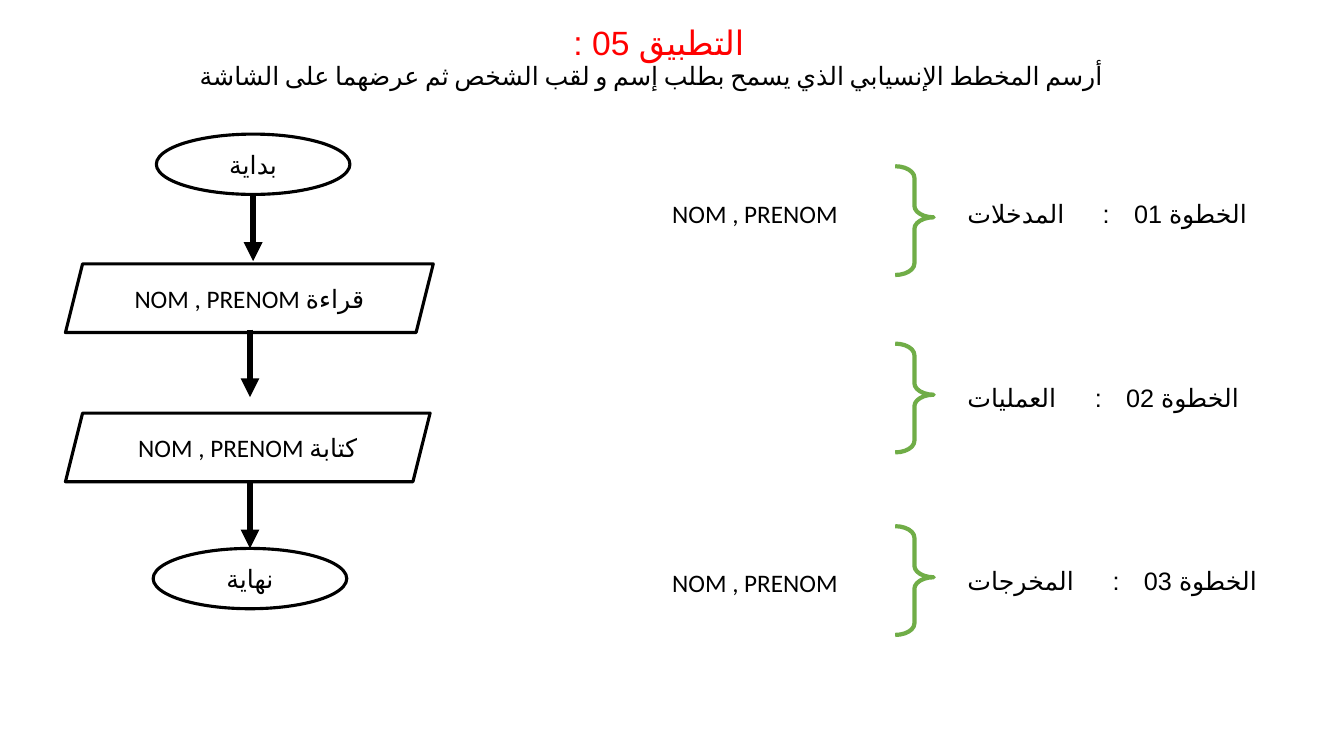
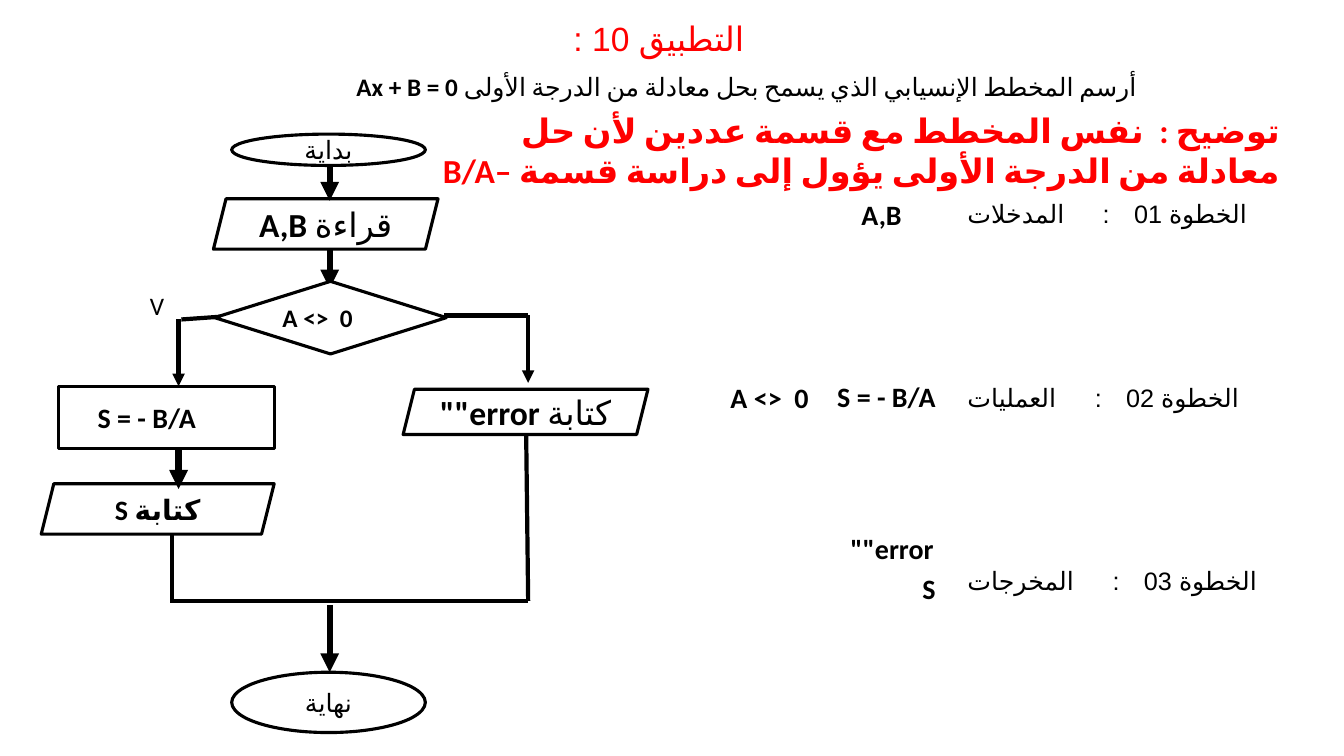
from lxml import etree
from pptx import Presentation
from pptx.dml.color import RGBColor
from pptx.enum.shapes import MSO_CONNECTOR, MSO_SHAPE as SHAPE
from pptx.enum.text import MSO_ANCHOR as ANCHOR, PP_ALIGN as ALIGN
from pptx.oxml.ns import qn
from pptx.util import Cm, Pt

BLACK = RGBColor(0, 0, 0)
WHITE = RGBColor(255, 255, 255)
RED = RGBColor(255, 0, 0)
GREEN = RGBColor(0x70, 0xAD, 0x47)

LATIN, ARABIC = "Calibri", "Arial"
OVAL_W, OVAL_H = 4.88, 1.52
STEP_PITCH = 4.62
HEAD_LEFT, HEAD_W = 3.94, 25.17

# Section name, shift of its colon and number, rise of its brace
STEPS = [("المدخلات", 0, 0.69), ("العمليات", -0.2, 0.84),
         ("المخرجات", 0.25, 0.86)]


# Text
def write(tf, runs, size=18, color=BLACK, font=LATIN, bold=False,
          align=ALIGN.LEFT, rtl=False):
    """Fill a one-paragraph frame; runs is a string or (text, bold) pairs."""
    tf.word_wrap = True
    p = tf.paragraphs[0]
    p.alignment = align
    p._p.get_or_add_pPr().set("rtl", "1" if rtl else "0")
    if isinstance(runs, str):
        runs = [(runs, bold)]
    for text, is_bold in runs:
        r = p.add_run()
        r.text = text
        r.font.size, r.font.bold, r.font.name = Pt(size), is_bold, font
        r.font.color.rgb = color
        rPr = r._r.get_or_add_rPr()
        rPr.set("lang", "ar-DZ")
        etree.SubElement(rPr, qn("a:cs"), typeface=font)


def add_label(slide, runs, x, y, w, h=1.02, **style):
    sp = slide.shapes.add_textbox(Cm(x), Cm(y), Cm(w), Cm(h))
    write(sp.text_frame, runs, **style)


# Shapes and lines
def add_node(slide, kind, runs, x, y, w, h, inset=0.25, **style):
    sp = slide.shapes.add_shape(kind, Cm(x), Cm(y), Cm(w), Cm(h))
    sp.shadow.inherit = False
    sp.fill.solid()
    sp.fill.fore_color.rgb = WHITE
    sp.line.color.rgb = BLACK
    sp.line.width = Pt(2.25)
    tf = sp.text_frame
    tf.vertical_anchor = ANCHOR.MIDDLE
    tf.margin_left = Cm(inset)
    write(tf, runs, **{"align": ALIGN.CENTER, **style})


def add_oval(slide, text, x, y, h=OVAL_H):
    add_node(slide, SHAPE.OVAL, text, x, y, OVAL_W, h, font=ARABIC)


def add_io(slide, runs, x, y, w, h, **style):
    add_node(slide, SHAPE.PARALLELOGRAM, runs, x, y, w, h, rtl=True, **style)


def add_line(slide, x1, y1, x2, y2, width=3, arrow=False):
    line = slide.shapes.add_connector(
        MSO_CONNECTOR.STRAIGHT, Cm(x1), Cm(y1), Cm(x2), Cm(y2))
    line.line.color.rgb = BLACK
    line.line.width = Pt(width)
    if arrow:
        etree.SubElement(line.line._get_or_add_ln(), qn("a:tailEnd"),
                         type="triangle")
    etree.SubElement(line._element.spPr, qn("a:effectLst"))


def add_down_arrow(slide, x, y1, y2, width=4.5):
    add_line(slide, x, y1, x, y2, width, arrow=True)


def add_brace(slide, x, y):
    sp = slide.shapes.add_shape(SHAPE.RIGHT_BRACE, Cm(x), Cm(y),
                                Cm(0.97), Cm(2.74))
    sp.adjustments[0], sp.adjustments[1] = 0.3, 0.47
    sp.shadow.inherit = False
    sp.fill.background()
    sp.line.color.rgb = GREEN
    sp.line.width = Pt(3)


# Regions
def add_heading(slide, title, top, question, question_top, align):
    sp = slide.shapes.title
    sp.left, sp.top = Cm(HEAD_LEFT + 0.08), Cm(top)
    sp.width, sp.height = Cm(HEAD_W), Cm(1.2)
    sp.text_frame.vertical_anchor = ANCHOR.TOP
    write(sp.text_frame, title, size=24, color=RED, font=ARABIC,
          align=ALIGN.CENTER, rtl=True)
    add_label(slide, question, HEAD_LEFT, question_top, HEAD_W - 0.2,
              align=align, rtl=True)


def add_steps(slide, x, y, values, braces=False):
    """Step lines from (x, y); values are (text, dx, dy, width, style)."""
    for i, (name, shift, rise) in enumerate(STEPS):
        top = y + i * STEP_PITCH
        for text, dx, w in ((f"الخطوة {i + 1:02}", 4.2 + shift, 3.8),
                            (":", 3.41 + shift, 0.75),
                            (name, 0, 3.3)):
            add_label(slide, text, x + dx, top, w, font=ARABIC)
        if braces:
            add_brace(slide, x - 1.57, top - rise)
    for text, dx, dy, w, style in values:
        add_label(slide, text, x + dx, y + dy, w, **style)


def add_name_flow(slide, x, y):
    add_oval(slide, "بداية", x + 2.29, y)
    add_oval(slide, "نهاية", x + 2.21, y + 10.44)
    for verb, dy, w in (("قراءة", 3.27, 9.27), ("كتابة", 7.03, 9.19)):
        add_io(slide, f"{verb} NOM , PRENOM", x, y + dy, w, 1.73)
    for dx, dy in ((4.73, 1.5), (4.65, 4.93), (4.65, 8.74)):
        add_down_arrow(slide, x + dx, y + dy, y + dy + 1.7)


def add_equation_flow(slide, x, y):
    middle, left, right, join = x + 7.27, x + 3.46, x + 12.27, y + 11.76

    # Start, input and test
    add_oval(slide, "بداية", x + 4.8, y, 0.79)
    add_io(slide, [("قراءة ", False), ("A,B", True)],
           x + 4.34, y + 1.63, 5.66, 1.27, size=24)
    add_down_arrow(slide, middle, y + 0.79, y + 1.68)
    add_down_arrow(slide, middle, y + 2.9, y + 3.89)
    add_node(slide, SHAPE.DIAMOND, "A <>  0", x + 4.37, y + 3.71, 5.84, 1.83,
             bold=True, align=ALIGN.LEFT)

    # True branch
    add_label(slide, "V", x + 2.49, y + 3.81, 1.07)
    add_line(slide, x + 4.52, y + 4.6, x + 3.53, y + 4.67)
    add_down_arrow(slide, left, y + 4.65, y + 6.35, 3)
    add_node(slide, SHAPE.RECTANGLE, "S = - B/A", x + 0.43, y + 6.35, 5.44,
             1.57, inset=0.99, size=20, bold=True, align=ALIGN.LEFT)
    add_io(slide, "كتابة S", x, y + 8.81, 5.87, 1.27, size=20, bold=True)
    add_down_arrow(slide, left, y + 7.92, y + 8.94)
    add_line(slide, x + 3.3, join, x + 3.3, y + 10.08)

    # False branch
    add_line(slide, right, y + 4.57, x + 10.14, y + 4.57)
    add_down_arrow(slide, right, y + 4.57, y + 6.27, 3)
    add_io(slide, [("كتابة ", False), ('error""', True)],
           x + 9.12, y + 6.43, 6.17, 1.14, size=24)
    add_line(slide, right, join, x + 12.22, y + 7.57)

    # Join and end
    add_line(slide, x + 3.25, join, right, join)
    add_down_arrow(slide, middle, y + 11.86, y + 13.56)
    add_oval(slide, "نهاية", x + 4.8, y + 13.56)


def main():
    prs = Presentation()
    prs.slide_width, prs.slide_height = Cm(33.87), Cm(19.05)
    title_only = prs.slide_layouts[5]

    # Exercise 05: first and last name
    slide = prs.slides.add_slide(title_only)
    add_heading(slide, "التطبيق 05 :", 0.43,
                "أرسم المخطط الإنسيابي الذي يسمح بطلب إسم و لقب الشخص"
                " ثم عرضهما على الشاشة", 1.4, ALIGN.CENTER)
    names = [("NOM , PRENOM", -7.44, dy, 5.26, {}) for dy in (0, 9.3)]
    add_steps(slide, 24.13, 4.88, names, braces=True)
    add_name_flow(slide, 1.65, 3.38)

    # Exercise 10: first-degree equation
    slide = prs.slides.add_slide(title_only)
    add_heading(slide, "التطبيق 10 :", 0.33,
                [("أرسم المخطط الإنسيابي الذي يسمح بحل معادلة من الدرجة"
                  " الأولى ", False), ("Ax + B = 0", True)],
                1.68, ALIGN.RIGHT)
    strong = {"size": 20, "bold": True}
    strong_rtl = {**strong, "align": ALIGN.RIGHT, "rtl": True}
    add_steps(slide, 24.13, 4.88, [
        ("A,B", -2.67, -0.03, 3.61, strong),
        ("A <>  0", -5.97, 4.59, 2.9, strong),
        ("S = - B/A", -3.28, 4.56, 3.96, strong),
        ('error""', -3.96, 8.38, 3.61, strong_rtl),
        ("S", -3.91, 9.39, 3.61, strong_rtl),
    ])
    add_equation_flow(slide, 1.04, 3.38)
    add_label(slide, "توضيح :  نفس المخطط مع قسمة عددين لأن حل معادلة من"
              " الدرجة الأولى يؤول إلى دراسة قسمة –B/A",
              10.44, 2.64, 22.07, 2.31, size=24, color=RED, bold=True,
              align=ALIGN.RIGHT, rtl=True)

    prs.save("out.pptx")


if __name__ == "__main__":
    main()
